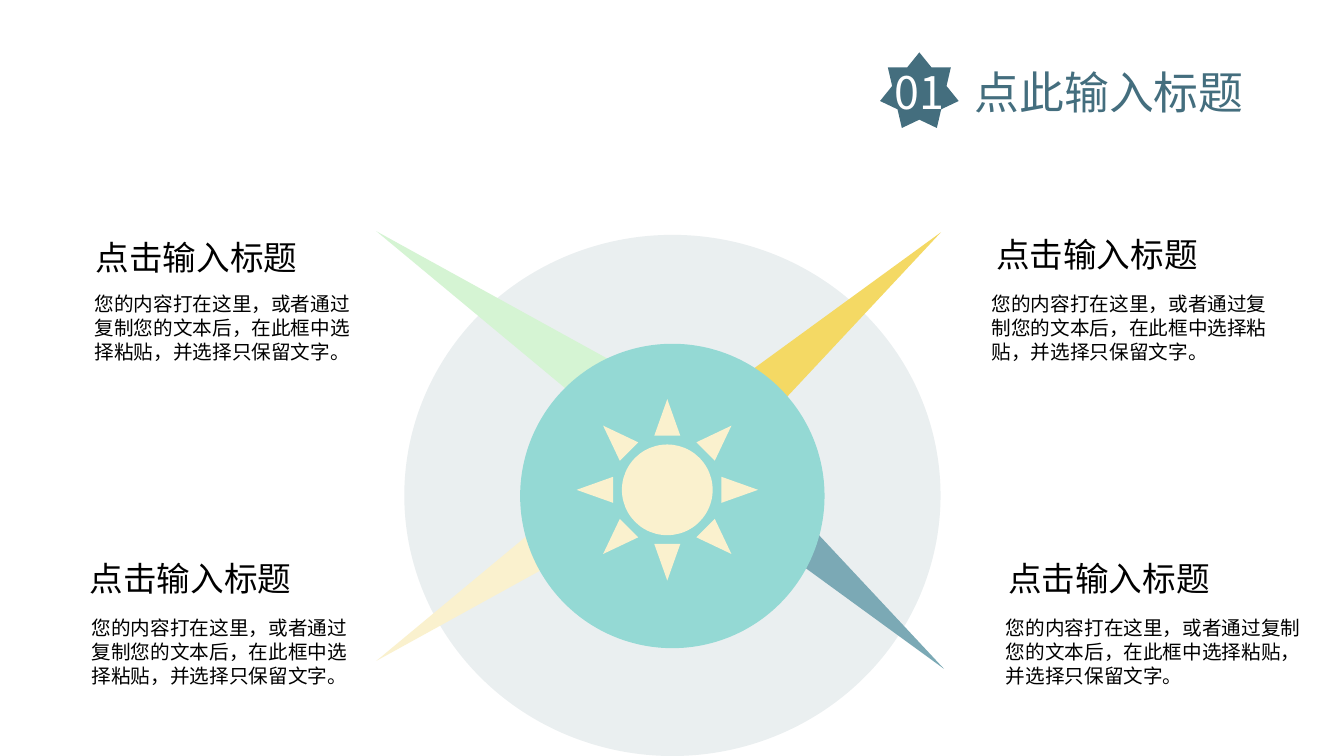
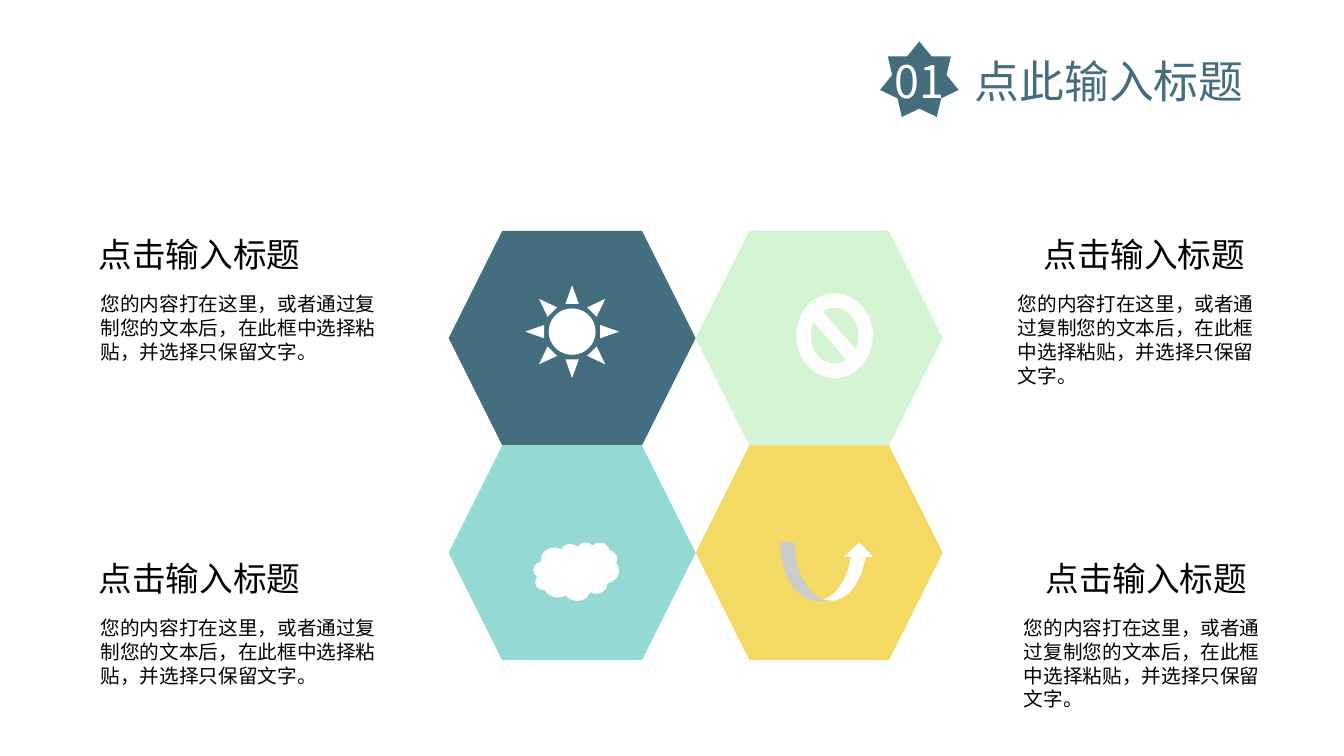
from dataclasses import dataclass

from lxml.etree import SubElement
from pptx import Presentation
from pptx.dml.color import RGBColor
from pptx.enum.shapes import MSO_SHAPE
from pptx.enum.text import MSO_AUTO_SIZE, PP_ALIGN
from pptx.oxml.ns import qn
from pptx.util import Inches, Pt

W, H = 13.33, 7.5
FONT = "Noto Sans CJK SC"
COLORS = {
    "navy": "446E7E", "steel": "7BA9B5", "teal": "94D9D4", "mint": "D5F4D3",
    "yellow": "F4D964", "cream": "FAF1CE", "white": "FFFFFF", "black": "000000",
}
HEADING = "点击输入标题"
BODY = "您的内容打在这里，或者通过复制您的文本后，在此框中选择粘贴，并选择只保留文字。"
TOP, BOTTOM = 29.87, 72.67
BODY_DROP = 7.87
LINE = 1.21
BASELINE_SHIFT = 0.09


@dataclass(frozen=True)
class Box:
    """Left, top, width and height in percent of the slide's size."""
    x: float
    y: float
    w: float
    h: float

    def emu(self) -> tuple:
        return (Inches(self.x * W / 100), Inches(self.y * H / 100),
                Inches(self.w * W / 100), Inches(self.h * H / 100))


@dataclass(frozen=True)
class Figure:
    kind: MSO_SHAPE
    box: Box
    color: str
    rotation: float = 0
    opacity: int = 100


@dataclass(frozen=True)
class Note:
    heading_x: float
    y: float
    body_x: float
    body_w: float
    right: bool = False
    body_h: float = 10.8
    lift: float = 0


def rgb(name: str) -> RGBColor:
    return RGBColor.from_string(COLORS[name])


def add_figure(shapes, fig: Figure) -> None:
    sp = shapes.add_shape(fig.kind, *fig.box.emu())
    sp.shadow.inherit = False
    sp.rotation = fig.rotation
    sp.fill.solid()
    sp.fill.fore_color.rgb = rgb(fig.color)
    sp.line.fill.background()
    if fig.opacity < 100:
        clr = next(sp.element.spPr.iter(qn("a:srgbClr")))
        SubElement(clr, qn("a:alpha"), val=str(fig.opacity * 1000))


def add_text(shapes, box: Box, *runs: tuple[str, str], size: int,
             align: PP_ALIGN = PP_ALIGN.LEFT, tab: float = 0) -> None:
    sp = shapes.add_textbox(*box.emu())
    tf = sp.text_frame
    tf.word_wrap = True
    tf.auto_size = MSO_AUTO_SIZE.SHAPE_TO_FIT_TEXT
    tf.margin_top = Pt(3.6 + BASELINE_SHIFT * size)
    tf.margin_bottom = Pt(3.6 - BASELINE_SHIFT * size)
    p = tf.paragraphs[0]
    p.alignment = align
    p.line_spacing = Pt(round(LINE * size))
    for text, color in runs:
        r = p.add_run()
        r.text = text
        r.font.size = Pt(size)
        r.font.color.rgb = rgb(color)
        r.font.name = FONT
    for props in sp.element.iter(qn("a:rPr")):
        SubElement(props, qn("a:ea"), typeface=FONT)
    if tab:
        props = next(sp.element.iter(qn("a:pPr")))
        stops = SubElement(props, qn("a:tabLst"))
        SubElement(stops, qn("a:tab"), pos=str(Inches(tab * W / 100)), algn="l")


def add_header(s, y: float) -> None:
    shapes = s.shapes.add_group_shape().shapes
    add_figure(shapes, Figure(MSO_SHAPE.STAR_7_POINT, Box(65.48, y, 5.85, 10), "navy"))
    add_text(shapes, Box(65.85, y + 0.27, 27.6, 8.53),
             ("01\t", "white"), ("点此输入标题", "navy"), size=32, tab=5.93)


def add_note(s, note: Note) -> None:
    align = PP_ALIGN.RIGHT if note.right else PP_ALIGN.LEFT
    add_text(s.shapes, Box(note.body_x, note.y + BODY_DROP, note.body_w, note.body_h),
             (BODY, "black"), size=14)
    add_text(s.shapes, Box(note.heading_x, note.y + note.lift, 17.1, 6.67),
             (HEADING, "black"), size=24, align=align)


def spike(x: float, y: float, rotation: float, color: str) -> Figure:
    return Figure(MSO_SHAPE.ISOSCELES_TRIANGLE, Box(x, y, 3.75, 35.07), color, rotation)


def build_sun_slide(s) -> None:
    add_header(s, 6.93)
    add_figure(s.shapes, Figure(MSO_SHAPE.OVAL, Box(30.08, 31.07, 39.9, 68.93),
                                "navy", opacity=11))
    for note in (
        Note(5.93, BOTTOM, 6.08, 21.68),
        Note(73.65, BOTTOM, 74.1, 23.78, right=True),
        Note(72.75, TOP, 73.05, 23.4, right=True),
        Note(6.38, TOP, 6.3, 21.68, lift=0.4),
    ):
        add_note(s, note)
    for fig in (
        spike(34.28, 22.93, 304.3, "mint"),
        spike(60.75, 24.8, 48.5, "yellow"),
        spike(34.28, 60, 235.7, "cream"),
        spike(60.98, 59.33, 131.5, "steel"),
        Figure(MSO_SHAPE.OVAL, Box(38.7, 45.47, 22.65, 40.27), "teal"),
        Figure(MSO_SHAPE.SUN, Box(42.9, 52.8, 13.5, 24), "cream"),
    ):
        add_figure(s.shapes, fig)


def build_hexagon_slide(s) -> None:
    add_header(s, 5.47)
    hexagons = s.shapes.add_group_shape().shapes
    hex_w, hex_h = 18.38, 28.4
    for i, color in enumerate(("navy", "mint", "teal", "yellow")):
        row, col = divmod(i, 2)
        box = Box(33.38 + col * hex_w, 30.53 + row * hex_h, hex_w, hex_h)
        add_figure(hexagons, Figure(MSO_SHAPE.HEXAGON, box, color))
    for kind, box in (
        (MSO_SHAPE.SUN, Box(39.08, 37.73, 6.98, 12.27)),
        (MSO_SHAPE.NO_SYMBOL, Box(59.25, 38.8, 5.7, 11.2)),
        (MSO_SHAPE.CLOUD, Box(39.68, 71.73, 6.38, 7.73)),
        (MSO_SHAPE.CURVED_UP_ARROW, Box(58.05, 71.73, 6.98, 7.73)),
    ):
        add_figure(s.shapes, Figure(kind, box, "white"))
    for note in (
        Note(6.6, BOTTOM, 6.75, 22.65),
        Note(76.43, BOTTOM, 75.45, 20.48, right=True, body_h=13.87),
        Note(76.28, TOP, 75, 20.33, right=True, body_h=13.87),
        Note(6.6, TOP, 6.75, 22.65),
    ):
        add_note(s, note)


def main() -> None:
    prs = Presentation()
    prs.slide_width, prs.slide_height = Inches(W), Inches(H)
    for build in (build_sun_slide, build_hexagon_slide):
        s = prs.slides.add_slide(prs.slide_layouts[6])
        s.background.fill.solid()
        s.background.fill.fore_color.rgb = rgb("white")
        build(s)
    prs.save("out.pptx")


if __name__ == "__main__":
    main()
